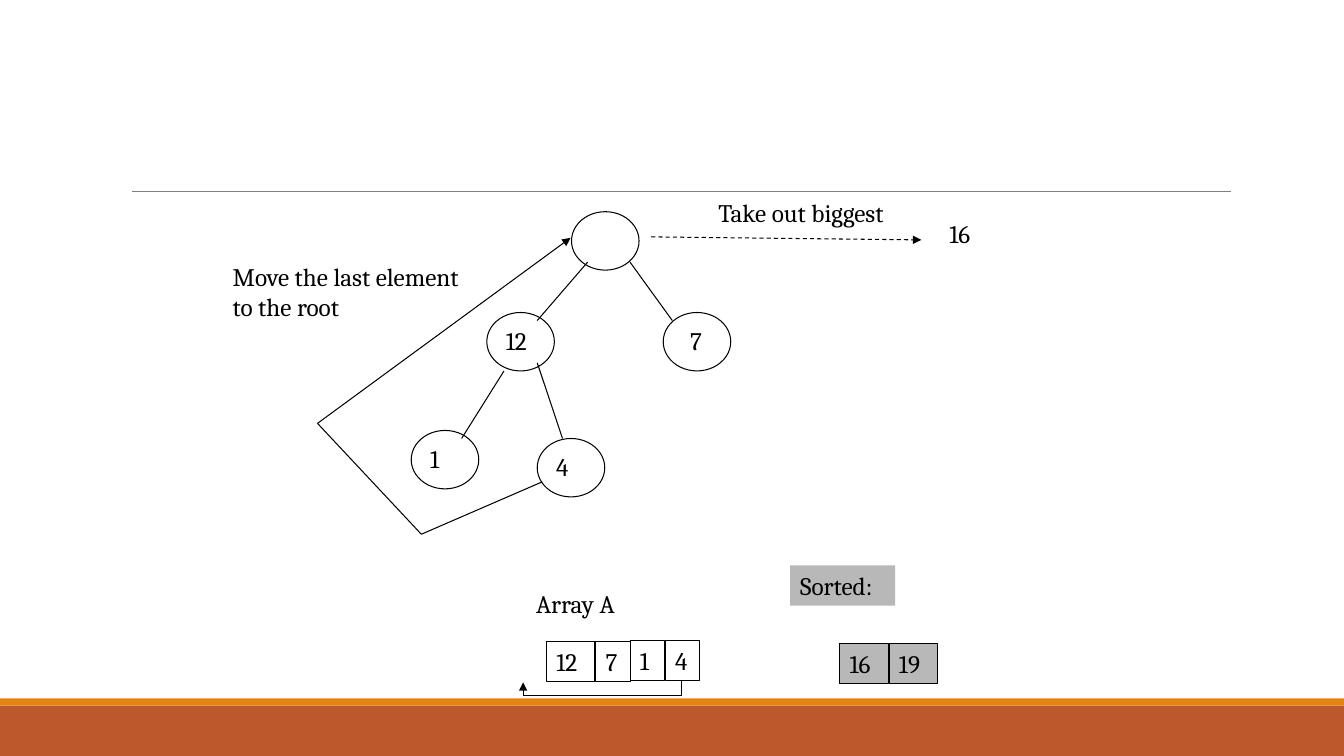
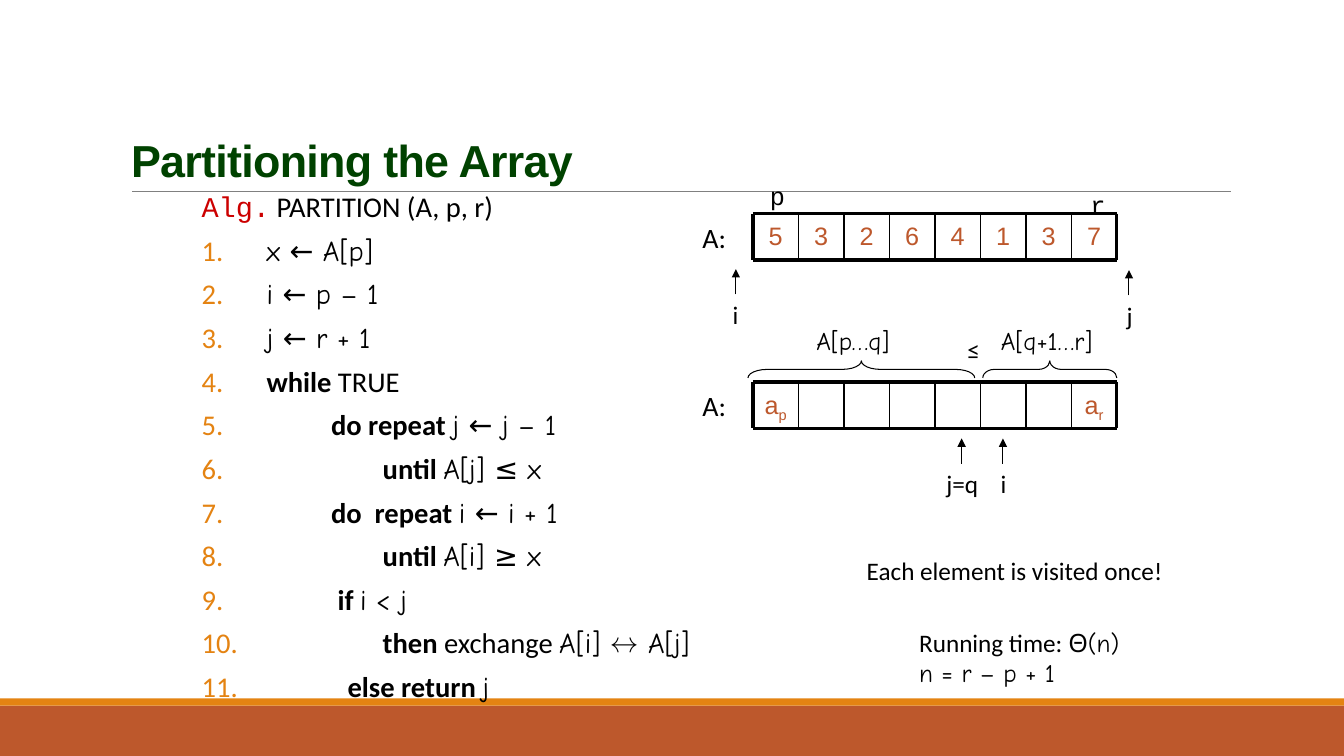
import itertools

import pptx
import pptx.util
from lxml import etree
from pptx.dml.color import RGBColor
from pptx.enum.dml import MSO_LINE
from pptx.enum.shapes import MSO_CONNECTOR, MSO_SHAPE
from pptx.enum.text import MSO_ANCHOR, MSO_AUTO_SIZE, PP_ALIGN
from pptx.oxml.ns import qn
from pptx.util import Inches, Pt

SLIDE_W, SLIDE_H = 40 / 3, 7.5
BLACK = RGBColor(0x00, 0x00, 0x00)
RUST = RGBColor(0xBD, 0x58, 0x2C)
ORANGE = RGBColor(0xE4, 0x83, 0x12)
RULE_GRAY = RGBColor(0x80, 0x80, 0x80)
SORTED_GRAY = RGBColor(0xB8, 0xB8, 0xB8)
TITLE_GREEN = RGBColor(0x00, 0x42, 0x00)
ALG_RED = RGBColor(0xCC, 0x00, 0x00)
SERIF, SANS, TEXT, MATH, MONO = "Cambria", "Arial", "Calibri", "Comic Neue", "Courier New"

# leading spaces, keyword, plain words, formula
PARTITION_STEPS = [
    (" ", "", "", "x ← A[p]"),
    (" ", "", "", "i ← p – 1"),
    (" ", "", "", "j ← r + 1"),
    (" ", "while", " TRUE", ""),
    (" " * 11, "do repeat ", "", "j ← j – 1"),
    (" " * 19, "until ", "", "A[j] ≤ x"),
    (" " * 11, "do  repeat ", "", "i ← i + 1"),
    (" " * 19, "until ", "", "A[i] ≥ x"),
    (" " * 12, "if ", "", "i < j"),
    (" " * 19, "then", " exchange ", "A[i] ↔ A[j]"),
    ("   \t       ", "else return ", "", "j"),
]


def box(x, y, w, h):
    return [Inches(v) for v in (x, y, w, h)]


def style(r, font, size=18, color=BLACK, bold=False):
    r.font.name, r.font.size, r.font.bold = font, Pt(size), bold
    r.font.color.rgb = color


def add_run(p, text, font, **look):
    r = p.add_run()
    r.text = text
    style(r, font, **look)
    return r


def add_shape(s, kind, x, y, w, h, fill=None, line=None):
    sp = s.shapes.add_shape(kind, *box(x, y, w, h))
    sp.shadow.inherit = False
    if fill is None:
        sp.fill.background()
    else:
        sp.fill.solid()
        sp.fill.fore_color.rgb = fill
    if line is None:
        sp.line.fill.background()
    else:
        sp.line.color.rgb = BLACK
        sp.line.width = Pt(line)
    return sp


def add_line(s, start, end, width=0.75, color=BLACK, arrow=False, dashed=False):
    c = s.shapes.add_connector(MSO_CONNECTOR.STRAIGHT, *[Inches(v) for v in (*start, *end)])
    c.line.color.rgb = color
    c.line.width = Pt(width)
    if dashed:
        c.line.dash_style = MSO_LINE.DASH
    props = c.element.spPr
    if arrow:
        etree.SubElement(props.find(qn("a:ln")), qn("a:tailEnd"), type="triangle")
    etree.SubElement(props, qn("a:effectLst"))
    return c


def add_trail(s, points):
    """Line through the points, with an arrowhead at the last one."""
    for start, end in itertools.pairwise(points):
        add_line(s, start, end, arrow=end == points[-1])


def add_label(s, text, x, y, w, font, h=0.4, size=18, fill=None, border=None):
    sp = s.shapes.add_textbox(*box(x, y, w, h))
    tf = sp.text_frame
    tf.word_wrap = False
    tf.auto_size = MSO_AUTO_SIZE.SHAPE_TO_FIT_TEXT
    tf.text = text
    for p in tf.paragraphs:
        for r in p.runs:
            style(r, font, size)
    if fill is not None:
        sp.fill.solid()
        sp.fill.fore_color.rgb = fill
    if border is not None:
        sp.line.color.rgb = BLACK
        sp.line.width = Pt(border)
    return sp


def add_node(s, text, x, y, indent=0.09):
    sp = add_shape(s, MSO_SHAPE.OVAL, x, y, 0.67, 0.58, line=0.75)
    tf = sp.text_frame
    tf.margin_left, tf.margin_right = Inches(indent), 0
    tf.margin_top, tf.margin_bottom = 0, Inches(0.02)
    tf.vertical_anchor = MSO_ANCHOR.MIDDLE
    if text:
        tf.text = text
        tf.paragraphs[0].alignment = PP_ALIGN.LEFT
        style(tf.paragraphs[0].runs[0], SERIF)


def add_array(s, y, values):
    """Row of ruled cells; each value is a text and its subscript."""
    left, width, height = 7.47, 3.61, 0.46
    right, bottom, count = left + width, y + height, len(values)
    step = width / count
    for i, (text, subscript) in enumerate(values):
        if not text:
            continue
        tf = s.shapes.add_textbox(*box(left + i * step, y, step, height)).text_frame
        tf.word_wrap = True
        tf.margin_left = tf.margin_right = 0
        tf.margin_top = Inches(0.07)
        p = tf.paragraphs[0]
        p.alignment = PP_ALIGN.CENTER
        add_run(p, text, SANS, color=RUST)
        if subscript:
            r = add_run(p, subscript, SANS, color=RUST)
            r._r.get_or_add_rPr().set("baseline", "-25000")
    for edge in (y, bottom):
        add_line(s, (left, edge), (right, edge), width=2.25)
    for i in range(count + 1):
        x = left + i * step
        add_line(s, (x, y), (x, bottom), width=2.25 if i in (0, count) else 1)
    add_label(s, "A:", 6.87, y + 0.02, 0.44, TEXT, h=0.44, size=20)


def add_pointer(s, text, x, y, w, arrow_x):
    """Index name with an arrow rising from its top."""
    add_label(s, text, x, y, w, TEXT)
    add_line(s, (arrow_x, y), (arrow_x, y - 0.25), arrow=True)


def add_brace(s, x, y, length, curl):
    sp = add_shape(s, MSO_SHAPE.LEFT_BRACE, x, y, 0.17, length, line=0.75)
    sp.adjustments[0] = curl
    sp.rotation = 90


def set_title(s, text):
    sp = s.shapes.title
    sp.left, sp.top, sp.width, sp.height = box(1.2, 0.31, 11, 1.59)
    tf = sp.text_frame
    tf.text = text
    tf.auto_size = MSO_AUTO_SIZE.NONE
    tf.vertical_anchor = MSO_ANCHOR.BOTTOM
    p = tf.paragraphs[0]
    p.alignment = PP_ALIGN.LEFT
    p.line_spacing = 0.85
    style(p.runs[0], SANS, 32, TITLE_GREEN, True)
    p.runs[0]._r.get_or_add_rPr().set("spc", "-50")


def format_step(p, numbered):
    props = p._p.get_or_add_pPr()
    props.set("marL", str(Inches(0.58)))
    props.set("indent", str(-Inches(0.58)))
    if numbered:
        color = etree.SubElement(props, qn("a:buClr"))
        etree.SubElement(color, qn("a:srgbClr"), val=str(ORANGE))
        etree.SubElement(props, qn("a:buAutoNum"), type="arabicPeriod")
        p.space_before = Pt(12)
    p.line_spacing = 0.7
    p.space_after = Pt(2)


def add_algorithm(s):
    tf = s.shapes.add_textbox(*box(2, 1.92, 9.09, 5.08)).text_frame
    tf.word_wrap = True
    tf.margin_left = tf.margin_right = 0
    p = tf.paragraphs[0]
    format_step(p, numbered=False)
    add_run(p, "Alg.", MONO, size=20.4, color=ALG_RED)
    add_run(p, " PARTITION (A, p, r)", TEXT, size=20.4)
    for lead, keyword, words, formula in PARTITION_STEPS:
        p = tf.add_paragraph()
        format_step(p, numbered=True)
        parts = [(lead, TEXT, False), (keyword, TEXT, True),
                 (words, TEXT, False), (formula, MATH, False)]
        for text, font, bold in parts:
            if text:
                add_run(p, text, font, size=20.4, bold=bold)


def add_master_bands(prs, s):
    """Draw the bands and rule on s, then move them to the slide master."""
    bands = [
        add_shape(s, MSO_SHAPE.RECTANGLE, 0, 7, SLIDE_W, 0.5, fill=RUST),
        add_shape(s, MSO_SHAPE.RECTANGLE, 0, 6.93, SLIDE_W, 0.07, fill=ORANGE),
        add_line(s, (1.31, 1.9), (12.21, 1.9), width=0.5, color=RULE_GRAY),
    ]
    for number, band in enumerate(bands, 101):
        band.element.xpath(".//p:cNvPr")[0].set("id", str(number))
        prs.slide_master.shapes.element.append(band.element)


def build_heap_slide(s):
    for node in [("", 5.67, 2.1), ("12", 4.83, 3.1), ("7", 6.58, 3.1, 0.17),
                 ("4", 5.33, 4.35), ("1", 4.08, 4.27)]:
        add_node(s, *node)
    for start, end in [((5.83, 2.6), (5.33, 3.18)), ((6.25, 2.6), (6.67, 3.18)),
                       ((5, 3.68), (4.58, 4.35)), ((5.33, 3.6), (5.58, 4.35))]:
        add_line(s, start, end)

    for text, x, y, w, fill in [
            ("12", 5.42, 6.36, 0.48, None), ("7", 5.91, 6.36, 0.34, None),
            ("1", 6.25, 6.35, 0.34, None), ("4", 6.6, 6.35, 0.34, None),
            ("16", 8.33, 6.38, 0.48, SORTED_GRAY), ("19", 8.82, 6.38, 0.48, SORTED_GRAY)]:
        add_label(s, text, x, y, w, SERIF, fill=fill, border=0.25)
    add_label(s, "Array A", 5.22, 5.79, 1.14, SERIF)
    add_label(s, "Sorted:", 7.84, 5.61, 1.04, SERIF, fill=SORTED_GRAY)

    add_line(s, (6.46, 2.35), (9.14, 2.38), arrow=True, dashed=True)
    add_label(s, "Take out biggest", 7.03, 1.91, 2.14, SERIF)
    add_label(s, "16", 9.32, 2.12, 0.48, SERIF)
    add_trail(s, [(5.38, 4.78), (4.18, 5.3), (3.15, 4.2), (5.66, 2.36)])
    add_trail(s, [(6.76, 6.75), (6.76, 6.9), (5.19, 6.9), (5.19, 6.77)])
    add_label(s, "Move the last element\nto the root", 2.21, 2.54, 2.79, SERIF, h=0.71)


def build_partition_slide(s):
    set_title(s, "Partitioning the Array")
    add_algorithm(s)

    add_array(s, 2.12, [(digit, "") for digit in "53264137"])
    add_label(s, "p", 7.54, 1.74, 0.31, MONO)
    add_label(s, "r", 10.72, 1.83, 0.28, MONO)

    add_array(s, 3.79, [("a", "p")] + [("", "")] * 6 + [("a", "r")])
    add_brace(s, 8.46, 2.54, 2.25, 1.125)
    add_brace(s, 10.33, 3, 1.33, 0.67)
    add_label(s, "A[p…q]", 8, 3.18, 1, MATH)
    add_label(s, "A[q+1…r]", 9.83, 3.18, 1.22, MATH)
    add_label(s, "≤", 9.5, 3.27, 0.34, TEXT)

    for pointer in [("i", 7.17, 2.92, 0.26, 7.3), ("j", 11.08, 2.93, 0.26, 11.2),
                    ("j=q", 9.29, 4.6, 0.54, 9.54), ("i", 9.83, 4.6, 0.26, 9.95)]:
        add_pointer(s, *pointer)

    add_label(s, "Each element is visited once!", 8.5, 5.46, 3.5, TEXT)
    tf = add_label(s, "Running time: \nn = r – p + 1", 9.02, 6.17, 2.21, MATH, h=0.71).text_frame
    style(tf.paragraphs[0].runs[0], TEXT)
    add_run(tf.paragraphs[0], "Θ(n)", MATH)


def main():
    prs = pptx.Presentation()
    prs.slide_width, prs.slide_height = Inches(SLIDE_W), Inches(SLIDE_H)
    title_only, blank = prs.slide_layouts[5], prs.slide_layouts[6]
    heap = prs.slides.add_slide(blank)
    add_master_bands(prs, heap)
    build_heap_slide(heap)
    build_partition_slide(prs.slides.add_slide(title_only))
    prs.save("out.pptx")


if __name__ == "__main__":
    main()
